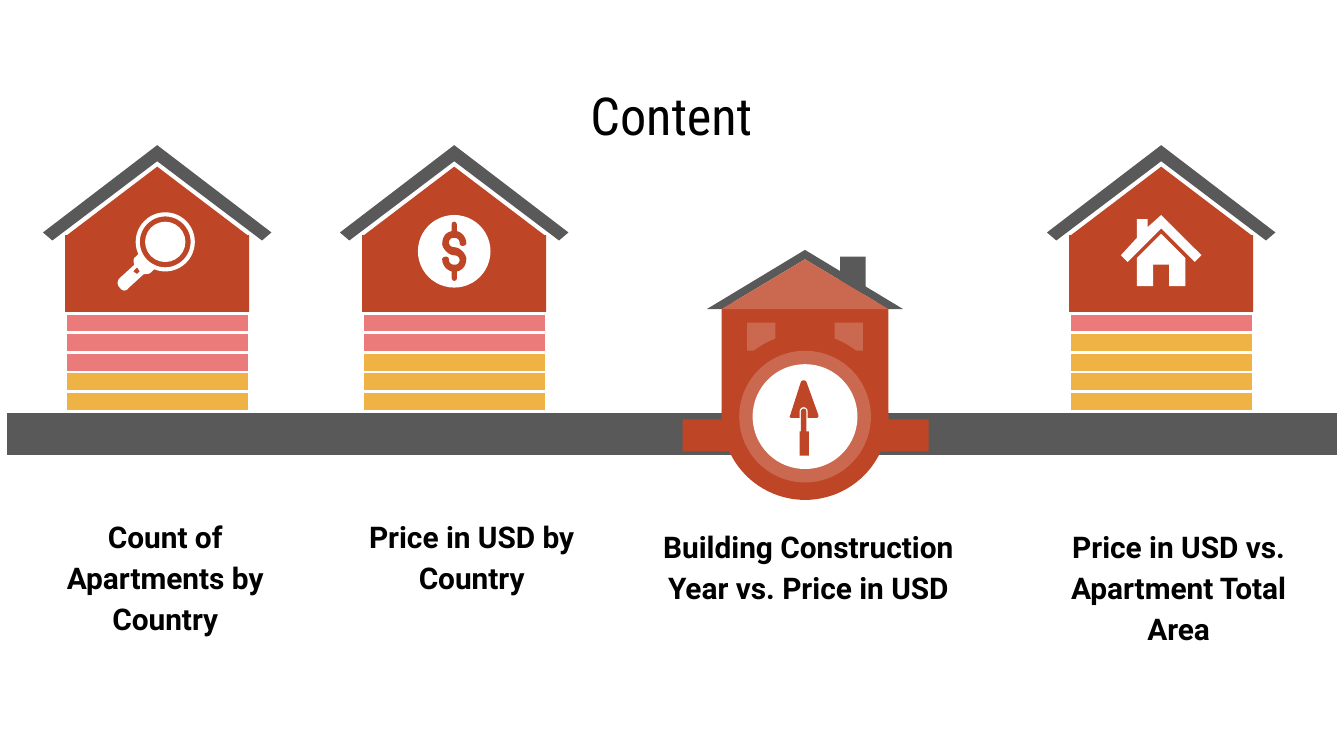
from pptx import Presentation
from pptx.dml.color import RGBColor
from pptx.enum.shapes import MSO_SHAPE as Preset
from pptx.enum.text import MSO_ANCHOR as Anchor, MSO_AUTO_SIZE as AutoSize, PP_ALIGN as Align
from pptx.util import Inches, Pt

WHITE = RGBColor(0xFF, 0xFF, 0xFF)
BLACK = RGBColor(0x00, 0x00, 0x00)
GREY = RGBColor(0x59, 0x59, 0x59)
BRICK = RGBColor(0xBE, 0x46, 0x26)
LIGHT_BRICK = RGBColor(0xCA, 0x69, 0x4F)
PINK = RGBColor(0xEB, 0x7B, 0x7B)
YELLOW = RGBColor(0xEE, 0xB2, 0x45)

SLIDE_W, SLIDE_H = Inches(10), Inches(5.625)
COLUMNS = 10

# Vertical places and sizes, in grid columns
ROOF_TOP, ICON_Y, WALL_TOP, STACK_TOP, ROAD_TOP = 1.08, 1.87, 1.75, 2.33, 3.06
HOUSE_W, ROAD_H, MARGIN = 1.37, 0.34, 0.04
LAYERS = 5
LAYER_H = (ROAD_TOP - STACK_TOP) / LAYERS


def cells(count):
    """Turn a number of grid columns into a length."""
    return round(count * SLIDE_W / COLUMNS)


def paint(shape, fill, outline=None):
    shape.shadow.inherit = False
    shape.fill.solid()
    shape.fill.fore_color.rgb = fill
    if outline is None:
        shape.line.fill.background()
    else:
        shape.line.color.rgb = outline
        shape.line.width = Pt(1.5)
    return shape


def block(shapes, left, top, width, height, fill, preset=Preset.RECTANGLE, outline=None):
    box = [cells(length) for length in (left, top, width, height)]
    return paint(shapes.add_shape(preset, *box), fill, outline)


def disc(shapes, x, y, radius, fill, preset=Preset.OVAL):
    return block(shapes, x - radius, y - radius, 2 * radius, 2 * radius, fill, preset)


def flatten(path, steps=6):
    """Turn a path of points and cubic curves (six numbers) into points."""
    points = []
    for item in path:
        if len(item) == 2:
            points.append(item)
            continue
        (x0, y0), (x1, y1, x2, y2, x3, y3) = points[-1], item
        for step in range(1, steps + 1):
            t = step / steps
            a, b, c, d = (1 - t) ** 3, 3 * t * (1 - t) ** 2, 3 * t * t * (1 - t), t ** 3
            points.append((a * x0 + b * x1 + c * x2 + d * x3,
                           a * y0 + b * y1 + c * y2 + d * y3))
    return points


def outline(shapes, x, y, fill, *paths):
    """Draw closed paths, given as offsets from (x, y), as one shape."""
    builder = None
    for path in paths:
        points = [(cells(x + dx), cells(y + dy)) for dx, dy in flatten(path)]
        if builder is None:
            builder = shapes.build_freeform(*points[0], scale=1.0)
        else:
            builder.move_to(*points[0])
        builder.add_line_segments(points[1:], close=True)
    return paint(builder.convert_to_shape(), fill)


def mirrored(right_half):
    return right_half + [(-dx, dy) for dx, dy in reversed(right_half)]


def write(frame, text, font="Roboto", size=16, bold=False, anchor=Anchor.TOP,
          line_spacing=1.0, space_after=0):
    frame.word_wrap = True
    frame.auto_size = AutoSize.NONE
    frame.vertical_anchor = anchor
    frame.margin_left = frame.margin_right = Inches(0.1)
    frame.margin_top = frame.margin_bottom = Inches(0.1)
    paragraph = frame.paragraphs[0]
    paragraph.alignment = Align.CENTER
    paragraph.line_spacing = line_spacing
    paragraph.space_after = Pt(space_after)
    run = paragraph.add_run()
    run.text = text
    run.font.name, run.font.size, run.font.bold = font, Pt(size), bold
    run.font.color.rgb = BLACK


def add_title(slide, text):
    title = slide.shapes.title
    title.left, title.top, title.width, title.height = (
        cells(length) for length in (3.12, 0.59, 3.75, 0.53))
    write(title.text_frame, text, font="Roboto Condensed", size=28, anchor=Anchor.MIDDLE)


def add_label(slide, left, top, width, text):
    box = slide.shapes.add_textbox(cells(left), cells(top), cells(width), cells(0.52))
    write(box.text_frame, text, bold=True, line_spacing=1.15, space_after=16)


def magnifier_icon(shapes, x, y):
    lens_x, lens_y = x + 0.06, y - 0.07
    handle = [(-0.14, 0.02), (-0.16, 0.04), (-0.18, 0.05, -0.18, 0.08, -0.17, 0.1),
              (-0.28, 0.2), (-0.3, 0.22, -0.3, 0.25, -0.28, 0.27),
              (-0.26, 0.3, -0.23, 0.3, -0.21, 0.27), (-0.1, 0.17),
              (-0.09, 0.17, -0.06, 0.17, -0.05, 0.16), (-0.02, 0.13)]
    eyelet = [(-0.15, 0.12), (-0.13, 0.15), (-0.15, 0.17), (-0.18, 0.15)]
    outline(shapes, x, y, WHITE, handle, eyelet)
    disc(shapes, lens_x, lens_y, 0.22, WHITE, Preset.DONUT).adjustments[0] = 0.07
    disc(shapes, lens_x, lens_y, 0.15, WHITE)


def dollar_icon(shapes, x, y):
    half = [(0, -0.22), (0.01, -0.22, 0.02, -0.21, 0.02, -0.19), (0.02, -0.15),
            (0.06, -0.14, 0.09, -0.1, 0.09, -0.06), (0.09, -0.05, 0.08, -0.04, 0.06, -0.04),
            (0.05, -0.04, 0.04, -0.05, 0.04, -0.06), (0.04, -0.09, 0.02, -0.1, 0, -0.1),
            (-0.01, -0.1, -0.02, -0.1, -0.03, -0.09), (-0.05, -0.07, -0.04, -0.03, 0, -0.03),
            (0.04, -0.03, 0.08, 0.01, 0.09, 0.05), (0.09, 0.1, 0.07, 0.14, 0.02, 0.15),
            (0.02, 0.2), (0.02, 0.21, 0.01, 0.22, 0, 0.22)]
    turned = [tuple(-number for number in item) for item in half]
    disc(shapes, x, y, 0.27, WHITE)
    outline(shapes, x, y, BRICK, half + turned)


def home_icon(shapes, x, y):
    walls = mirrored([(0, -0.13), (0.18, 0.05), (0.18, 0.26), (0.06, 0.26), (0.06, 0.1)])
    roof = [(0, -0.27), (0.3, 0.03), (0.25, 0.08), (0, -0.17), (-0.25, 0.08), (-0.3, 0.03),
            (-0.18, -0.1), (-0.18, -0.24), (-0.1, -0.24), (-0.1, -0.18)]
    outline(shapes, x, y, WHITE, walls, roof)


def add_stacked_house(slide, x, pink_layers, icon):
    shapes = slide.shapes.add_group_shape().shapes
    left = x - HOUSE_W / 2
    roof = mirrored([(0, 0), (0.85, 0.65), (0.78, 0.71), (0, 0.12)])
    outline(shapes, x, ROOF_TOP, GREY, roof)
    block(shapes, left, 1.24, HOUSE_W, 0.52, BRICK, Preset.ISOSCELES_TRIANGLE)
    block(shapes, left, WALL_TOP, HOUSE_W, STACK_TOP - WALL_TOP, BRICK)
    icon(shapes, x, ICON_Y)
    for layer in range(LAYERS):
        block(shapes, left, STACK_TOP + layer * LAYER_H, HOUSE_W, LAYER_H,
              PINK if layer < pink_layers else YELLOW, outline=WHITE)


def add_trowel(shapes, x):
    outline(shapes, x, 2.83, BRICK,
            [(0, 0), (0.01, 0, 0.02, 0.01, 0.02, 0.01), (0.11, 0.26),
             (0.11, 0.27, 0.11, 0.28, 0.09, 0.28), (-0.09, 0.28),
             (-0.1, 0.28, -0.11, 0.27, -0.1, 0.26), (-0.02, 0.01),
             (-0.02, 0.01, -0.01, 0, 0, 0)])
    block(shapes, x - 0.03, 3.03, 0.06, 0.34, WHITE, Preset.ROUNDED_RECTANGLE).adjustments[0] = 0.5
    block(shapes, x - 0.02, 3.04, 0.04, 0.32, BRICK, Preset.ROUNDED_RECTANGLE).adjustments[0] = 0.5
    block(shapes, x - 0.03, 3.21, 0.07, 0.18, BRICK)


def add_construction_house(slide, x):
    shapes = slide.shapes.add_group_shape().shapes
    block(shapes, x + 0.26, 1.91, 0.19, 0.28, GREY)
    block(shapes, x - 0.62, 2.25, 1.24, 0.87, BRICK)
    outline(shapes, x, 1.86, GREY, mirrored([(0, 0), (0.73, 0.44), (0.62, 0.44), (0, 0.07)]))
    block(shapes, x - 0.62, 1.93, 1.24, 0.37, LIGHT_BRICK, Preset.ISOSCELES_TRIANGLE)
    for window_left in (x + 0.22, x - 0.43):
        block(shapes, window_left, 2.4, 0.21, 0.21, LIGHT_BRICK)
    block(shapes, x - 0.91, 3.12, 1.83, 0.24, BRICK)
    for radius, fill in ((0.62, BRICK), (0.49, LIGHT_BRICK), (0.39, WHITE)):
        disc(shapes, x, 3.1, radius, fill)
    add_trowel(shapes, x - 0.01)


def main():
    deck = Presentation()
    deck.slide_width, deck.slide_height = SLIDE_W, SLIDE_H
    slide = deck.slides.add_slide(deck.slide_layouts[5])

    block(slide.shapes, MARGIN, ROAD_TOP, COLUMNS - 2 * MARGIN, ROAD_H, GREY, outline=WHITE)
    add_title(slide, "Content")
    for x, pink_layers, icon in ((1.17, 3, magnifier_icon), (3.38, 2, dollar_icon),
                                 (8.64, 1, home_icon)):
        add_stacked_house(slide, x, pink_layers, icon)
    add_construction_house(slide, 5.99)
    for left, top, width, text in (
            (0.25, 3.72, 1.96, "Count of Apartments by Country"),
            (2.53, 3.72, 1.96, "Price in USD by Country"),
            (4.66, 3.79, 2.71, "Building Construction Year vs. Price in USD"),
            (7.79, 3.79, 1.96, "Price in USD vs. Apartment Total Area")):
        add_label(slide, left, top, width, text)
    deck.save("out.pptx")


if __name__ == "__main__":
    main()
